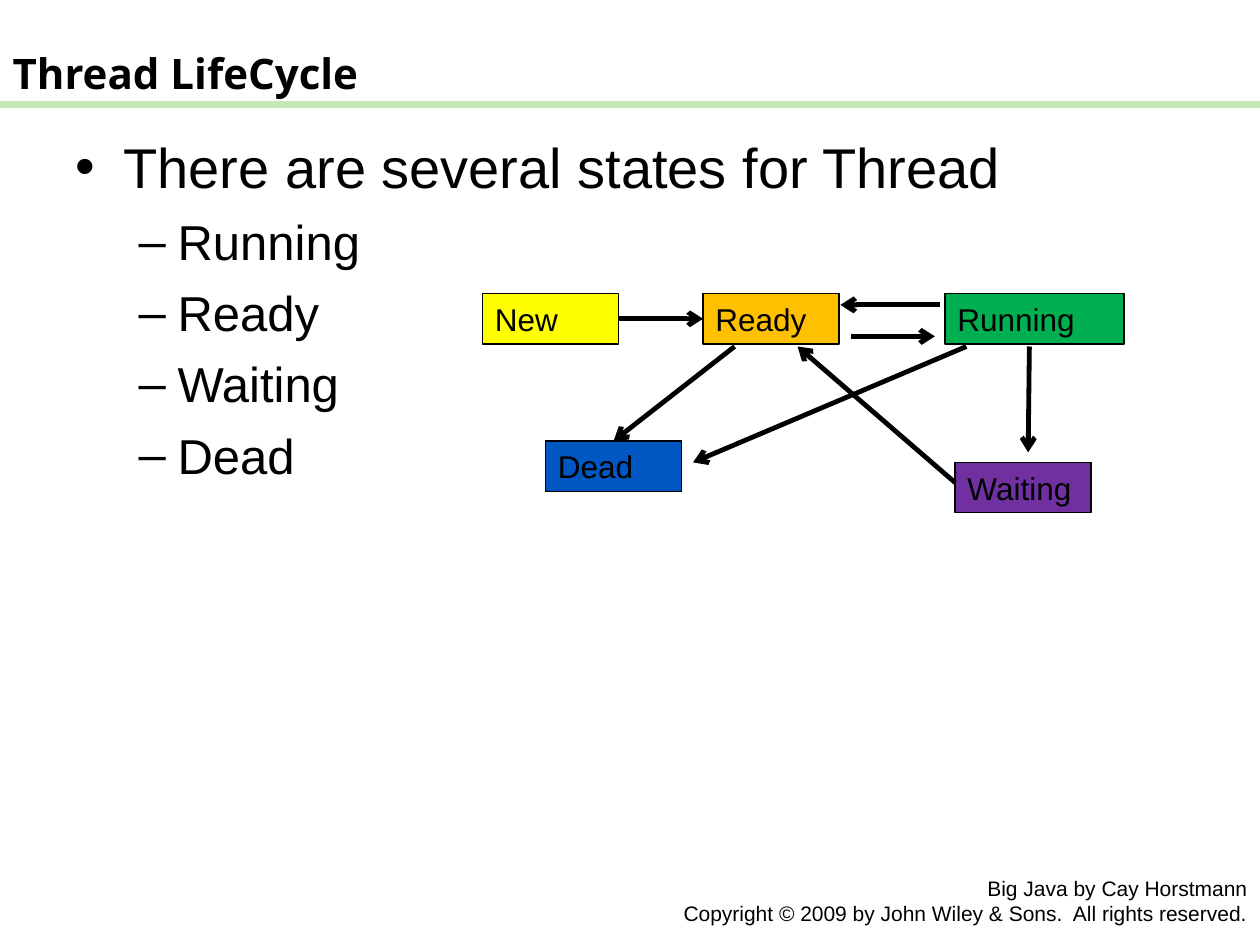
import pptx
import pptx.util
import pptx.oxml.ns
import pptx.dml.color
import pptx.enum.shapes
import pptx.enum.text
from lxml import etree

Inches, Pt = pptx.util.Inches, pptx.util.Pt
RGBColor = pptx.dml.color.RGBColor
qn = pptx.oxml.ns.qn
PP_ALIGN = pptx.enum.text.PP_ALIGN
ANCHOR = pptx.enum.text.MSO_ANCHOR
AUTO_SIZE = pptx.enum.text.MSO_AUTO_SIZE

BLACK = RGBColor(0x00, 0x00, 0x00)
RULE_GREEN = RGBColor(0xC6, 0xE8, 0xB4)
YELLOW = RGBColor(0xFF, 0xFF, 0x00)
ORANGE = RGBColor(0xFF, 0xC0, 0x00)
GREEN = RGBColor(0x00, 0xB0, 0x50)
PURPLE = RGBColor(0x70, 0x30, 0xA0)
BLUE = RGBColor(0x00, 0x57, 0xC1)


def format_text(tf, size, name="Arial", bold=False, align=PP_ALIGN.LEFT):
    tf.word_wrap = True
    tf.auto_size = AUTO_SIZE.NONE
    tf.vertical_anchor = ANCHOR.TOP
    for p in tf.paragraphs:
        p.alignment = align
        for r in p.runs:
            r.font.size = Pt(size)
            r.font.name = name
            r.font.bold = bold
            r.font.color.rgb = BLACK


def add_line(start, end, color, width, arrow=False):
    line = s.shapes.add_connector(pptx.enum.shapes.MSO_CONNECTOR.STRAIGHT,
                                  *map(Inches, start + end))
    line.line.color.rgb = color
    line.line.width = Pt(width)
    if arrow:
        etree.SubElement(line.line._get_or_add_ln(), qn("a:tailEnd"), type="arrow")
    etree.SubElement(line._element.spPr, qn("a:effectLst"))
    return line


prs = pptx.Presentation()
prs.slide_width, prs.slide_height = Inches(10), Inches(7.5)
s = prs.slides.add_slide(prs.slide_layouts[1])

# Rule under the title
add_line((0, 0.83), (10, 0.83), RULE_GREEN, 4)

# Title
title = s.shapes.title
title.left, title.top, title.width, title.height = map(Inches, (0, 0.33, 7.67, 0.5))
title.text_frame.text = "Thread LifeCycle"
format_text(title.text_frame, 24, "Noto Sans", bold=True)

# Bulleted list of states
body = s.placeholders[1]
body.left, body.top, body.width, body.height = map(Inches, (0.5, 1, 9, 4.95))
tf = body.text_frame
tf.text = "There are several states for Thread\nRunning\nReady\nWaiting\nDead"
format_text(tf, 28)
tf.paragraphs[0].runs[0].font.size = Pt(32)
for i, p in enumerate(tf.paragraphs):
    p.level = 1 if i else 0
    p.space_before = Pt(7 if i else 0)
    margin, indent, bullet = (0.81, -0.31, "–") if i else (0.38, -0.38, "•")
    pPr = p._p.get_or_add_pPr()
    pPr.set("marL", str(Inches(margin)))
    pPr.set("indent", str(Inches(indent)))
    etree.SubElement(pPr, qn("a:buFont"), typeface="Arial")
    etree.SubElement(pPr, qn("a:buChar"), char=bullet)

# Copyright note
note = s.shapes.add_textbox(*map(Inches, (5.25, 6.9, 4.75, 0.52)))
note.text_frame.text = ("Big Java by Cay Horstmann\n"
                        "Copyright © 2009 by John Wiley & Sons.  All rights reserved.")
format_text(note.text_frame, 12, align=PP_ALIGN.RIGHT)

# State boxes
states = {}
for name, left, top, width, color in (
    ("New", 3.83, 2.33, 1.08, YELLOW),
    ("Ready", 5.58, 2.33, 1.08, ORANGE),
    ("Running", 7.5, 2.33, 1.42, GREEN),
    ("Waiting", 7.58, 3.67, 1.08, PURPLE),
    ("Dead", 4.33, 3.5, 1.08, BLUE),
):
    sp = s.shapes.add_shape(pptx.enum.shapes.MSO_SHAPE.RECTANGLE,
                            *map(Inches, (left, top, width, 0.4)))
    sp.shadow.inherit = False
    sp.fill.solid()
    sp.fill.fore_color.rgb = color
    sp.line.color.rgb = BLACK
    sp.line.width = Pt(0.75)
    sp.text_frame.text = name
    format_text(sp.text_frame, 18)
    states[name] = sp

# Transitions joined to the middle of a box side
new_ready = add_line((4.92, 2.53), (5.58, 2.53), BLACK, 2.75, arrow=True)
new_ready.begin_connect(states["New"], 3)
new_ready.end_connect(states["Ready"], 1)
ready_dead = add_line((5.83, 2.75), (4.87, 3.5), BLACK, 2.75, arrow=True)
ready_dead.end_connect(states["Dead"], 0)

# Free transitions
for start, end in (
    ((6.75, 2.67), (7.42, 2.67)),  # Ready to Running
    ((8.17, 2.75), (8.16, 3.59)),  # Running to Waiting
    ((7.58, 3.83), (6.33, 2.75)),  # Waiting to Ready
    ((7.67, 2.75), (5.5, 3.67)),   # Running to Dead
    ((7.46, 2.42), (6.67, 2.42)),  # Running to Ready
):
    add_line(start, end, BLACK, 2.75, arrow=True)

prs.save("out.pptx")
